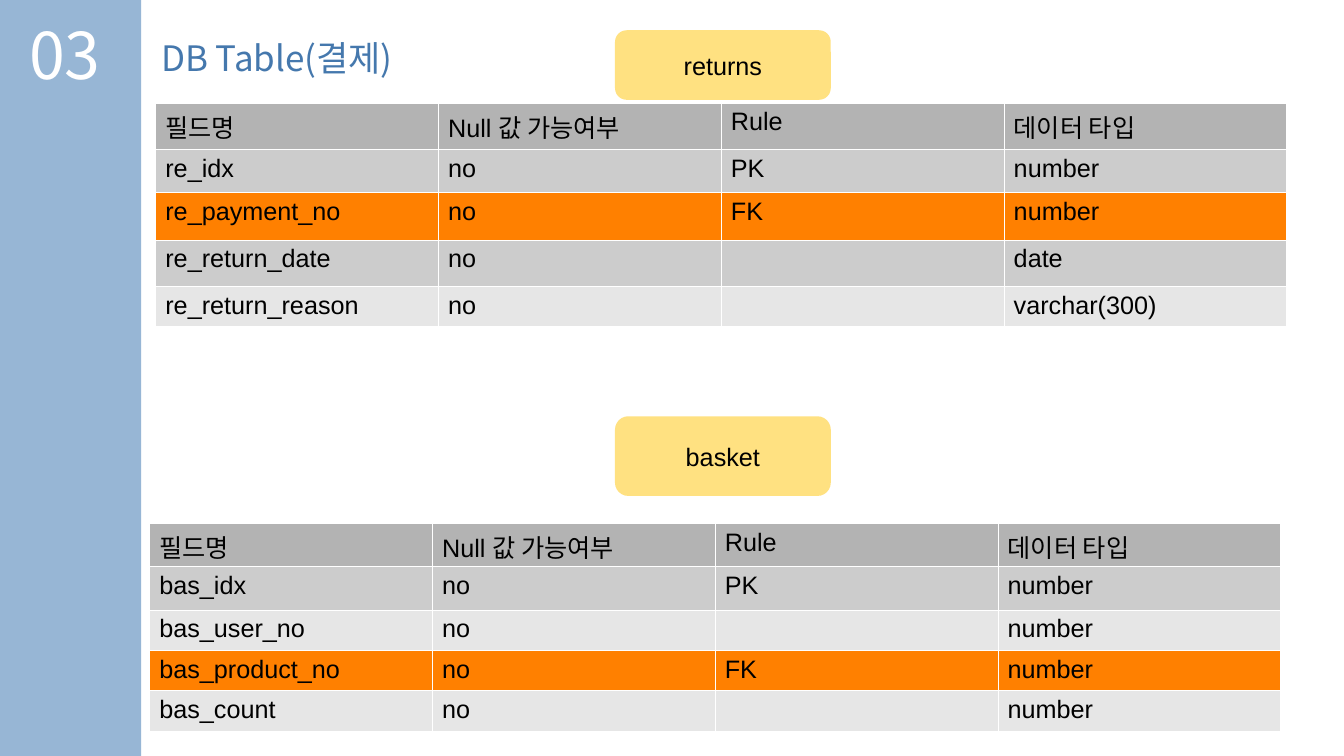
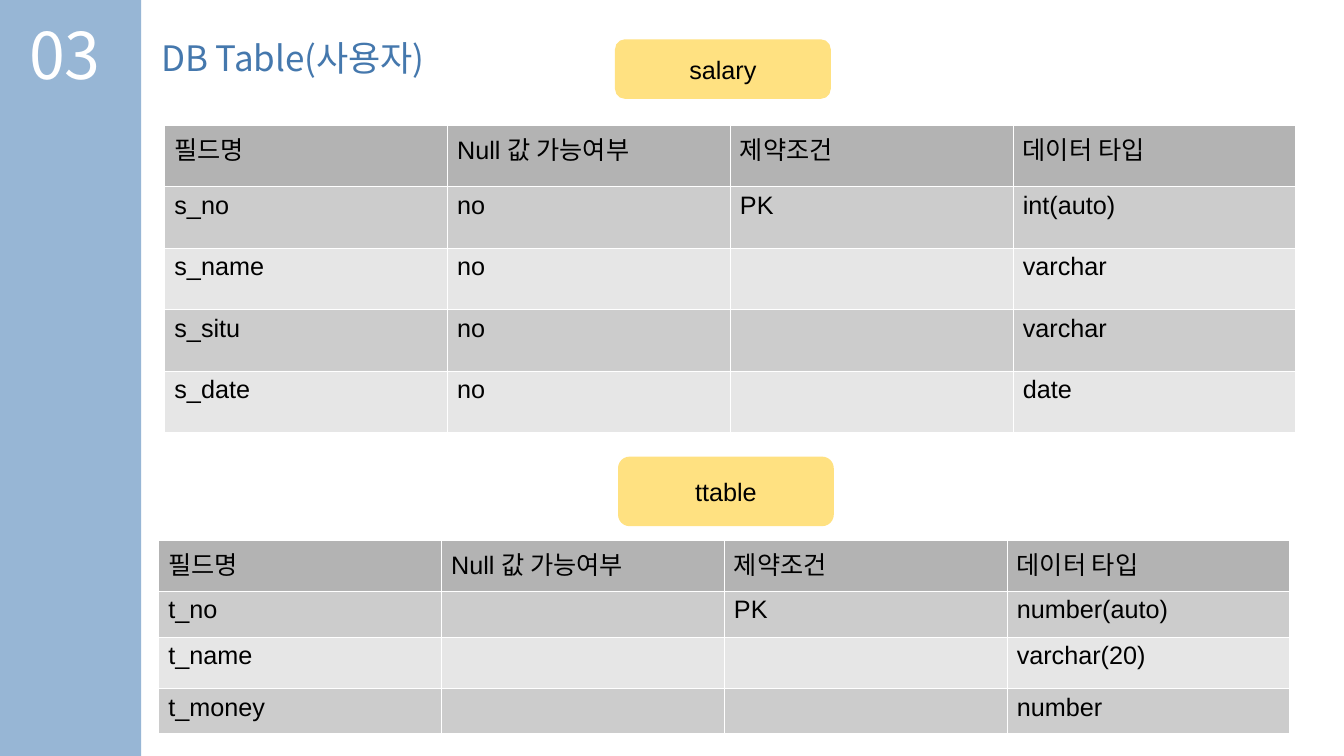
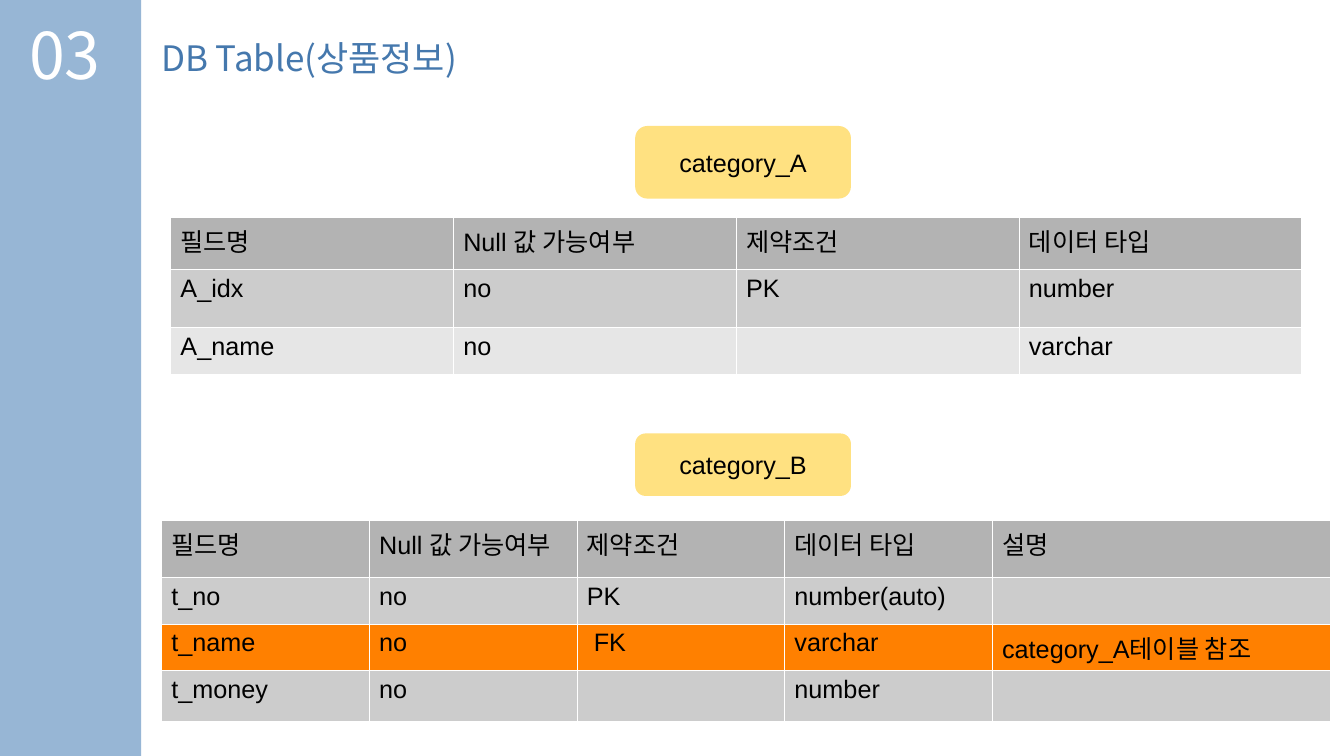
import pptx
import pptx.util
import pptx.dml.color
import pptx.enum.shapes
import pptx.enum.text
import pptx.oxml
import pptx.oxml.ns
from dataclasses import dataclass

Inches = pptx.util.Inches
Pt = pptx.util.Pt


@dataclass(frozen=True)
class Theme:
    band: str = "97B6D5"
    title: str = "4578AD"
    number: str = "FFFFFF"
    label: str = "FFE181"
    text: str = "000000"
    border: str = "FFFFFF"
    header: str = "B3B3B3"
    odd_row: str = "CCCCCC"
    even_row: str = "E6E6E6"
    key_row: str = "FF8000"
    heading_font: str = "Noto Sans CJK KR"
    body_font: str = "Arial"
    number_size: int = 46
    title_size: int = 25
    body_size: int = 18
    border_width: float = 0.06


THEME = Theme()
SECTION = "03"
LABEL_WIDTH = 2.14
FOUR_COLUMNS = [11.22 / 4] * 4
FIVE_COLUMNS = [2.06] * 4 + [3.35]
RULE_HEADER = ("필드명", "Null 값 가능여부", "Rule", "데이터 타입")
KEY_HEADER = ("필드명", "Null 값 가능여부", "제약조건", "데이터 타입")

SLIDES = [
    ("DB Table(결제)", [
        {
            "label": ("returns", 6.1, 0.3, 0.69),
            "at": (1.54, 1.02),
            "columns": FOUR_COLUMNS,
            "heights": [0.46, 0.43, 0.47, 0.46, 0.4],
            "rows": [
                RULE_HEADER,
                ("re_idx", "no", "PK", "number"),
                ("re_payment_no", "no", "FK", "number"),
                ("re_return_date", "no", "", "date"),
                ("re_return_reason", "no", "", "varchar(300)"),
            ],
        },
        {
            "label": ("basket", 6.1, 4.13, 0.79),
            "at": (1.48, 5.19),
            "columns": FOUR_COLUMNS,
            "heights": [0.43, 0.43, 0.4, 0.4, 0.39],
            "rows": [
                RULE_HEADER,
                ("bas_idx", "no", "PK", "number"),
                ("bas_user_no", "no", "", "number"),
                ("bas_product_no", "no", "FK", "number"),
                ("bas_count", "no", "", "number"),
            ],
        },
    ]),
    ("DB Table(사용자)", [
        {
            "label": ("salary", 6.1, 0.39, 0.59),
            "at": (1.63, 1.24),
            "columns": FOUR_COLUMNS,
            "heights": [0.61] * 5,
            "rows": [
                KEY_HEADER,
                ("s_no", "no", "PK", "int(auto)"),
                ("s_name", "no", "", "varchar"),
                ("s_situ", "no", "", "varchar"),
                ("s_date", "no", "", "date"),
            ],
        },
        {
            "label": ("ttable", 6.13, 4.53, 0.69),
            "at": (1.57, 5.36),
            "columns": FOUR_COLUMNS,
            "heights": [0.5, 0.46, 0.51, 0.44],
            "rows": [
                KEY_HEADER,
                ("t_no", "", "PK", "number(auto)"),
                ("t_name", "", "", "varchar(20)"),
                ("t_money", "", "", "number"),
            ],
        },
    ]),
    ("DB Table(상품정보)", [
        {
            "label": ("category_A", 6.3, 1.25, 0.72),
            "at": (1.69, 2.15),
            "columns": FOUR_COLUMNS,
            "heights": [0.52, 0.58, 0.46],
            "rows": [
                KEY_HEADER,
                ("A_idx", "no", "PK", "number"),
                ("A_name", "no", "", "varchar"),
            ],
        },
        {
            "label": ("category_B", 6.3, 4.3, 0.62),
            "at": (1.6, 5.16),
            "columns": FIVE_COLUMNS,
            "heights": [0.57, 0.46, 0.46, 0.5],
            "rows": [
                KEY_HEADER + ("설명",),
                ("t_no", "no", "PK", "number(auto)", ""),
                ("t_name", "no", " FK", "varchar", "category_A테이블 참조"),
                ("t_money", "no", "", "number", ""),
            ],
        },
    ]),
]


def rgb(value):
    return pptx.dml.color.RGBColor.from_string(value)


def write(text_frame, text, size, color, font_name):
    text_frame.text = text
    paragraph = text_frame.paragraphs[0]
    for run in paragraph.runs:
        run.font.size = Pt(size)
        run.font.name = font_name
        run.font.color.rgb = rgb(color)
        east_asian = pptx.oxml.parse_xml(
            f'<a:ea {pptx.oxml.ns.nsdecls("a")} typeface="{THEME.heading_font}"/>')
        run.font._element.append(east_asian)
    return paragraph


def add_filled_shape(slide, kind, box, color):
    shape = slide.shapes.add_shape(kind, *map(Inches, box))
    shape.shadow.inherit = False
    shape.fill.solid()
    shape.fill.fore_color.rgb = rgb(color)
    shape.line.fill.background()
    return shape


def add_heading(slide, text, box, size, color):
    text_frame = slide.shapes.add_textbox(*map(Inches, box)).text_frame
    text_frame.word_wrap = True
    text_frame.auto_size = pptx.enum.text.MSO_AUTO_SIZE.SHAPE_TO_FIT_TEXT
    write(text_frame, text, size, color, THEME.heading_font)


def add_label(slide, text, left, top, height):
    shape = add_filled_shape(
        slide, pptx.enum.shapes.MSO_SHAPE.ROUNDED_RECTANGLE,
        (left, top, LABEL_WIDTH, height), THEME.label)
    shape.text_frame.vertical_anchor = pptx.enum.text.MSO_ANCHOR.MIDDLE
    paragraph = write(shape.text_frame, text, THEME.body_size, THEME.text, THEME.body_font)
    paragraph.alignment = pptx.enum.text.PP_ALIGN.CENTER


def add_borders(cell):
    properties = cell._tc.get_or_add_tcPr()
    for side in ("lnL", "lnR", "lnT", "lnB"):
        properties.append(pptx.oxml.parse_xml(
            f'<a:{side} {pptx.oxml.ns.nsdecls("a")} w="{Pt(THEME.border_width)}">'
            f'<a:solidFill><a:srgbClr val="{THEME.border}"/></a:solidFill></a:{side}>'))


def row_color(index, row):
    if index == 0:
        return THEME.header
    if row[2].strip() == "FK":
        return THEME.key_row
    return THEME.odd_row if index % 2 else THEME.even_row


def add_field_table(slide, at, columns, heights, rows):
    box = (*at, sum(columns), sum(heights))
    table = slide.shapes.add_table(len(rows), len(columns), *map(Inches, box)).table
    table.first_row = False
    table.horz_banding = False
    for column, width in zip(table.columns, columns):
        column.width = Inches(width)
    for index, (row, height) in enumerate(zip(rows, heights)):
        table.rows[index].height = Inches(height)
        for cell, text in zip(table.rows[index].cells, row):
            add_borders(cell)
            cell.fill.solid()
            cell.fill.fore_color.rgb = rgb(row_color(index, row))
            write(cell.text_frame, text, THEME.body_size, THEME.text, THEME.body_font)


def add_slide(presentation, title, tables):
    slide = presentation.slides.add_slide(presentation.slide_layouts[6])
    add_filled_shape(slide, pptx.enum.shapes.MSO_SHAPE.RECTANGLE,
                     (0, 0, 1.4, 7.5), THEME.band)
    add_heading(slide, SECTION, (0.19, 0.1, 1.65, 0.86), THEME.number_size, THEME.number)
    add_heading(slide, title, (1.5, 0.31, 5.83, 0.51), THEME.title_size, THEME.title)
    for table in tables:
        add_label(slide, *table["label"])
        add_field_table(slide, table["at"], table["columns"],
                        table["heights"], table["rows"])


def main():
    presentation = pptx.Presentation()
    presentation.slide_width = Inches(13.33)
    presentation.slide_height = Inches(7.5)
    for title, tables in SLIDES:
        add_slide(presentation, title, tables)
    presentation.save("out.pptx")


if __name__ == "__main__":
    main()
